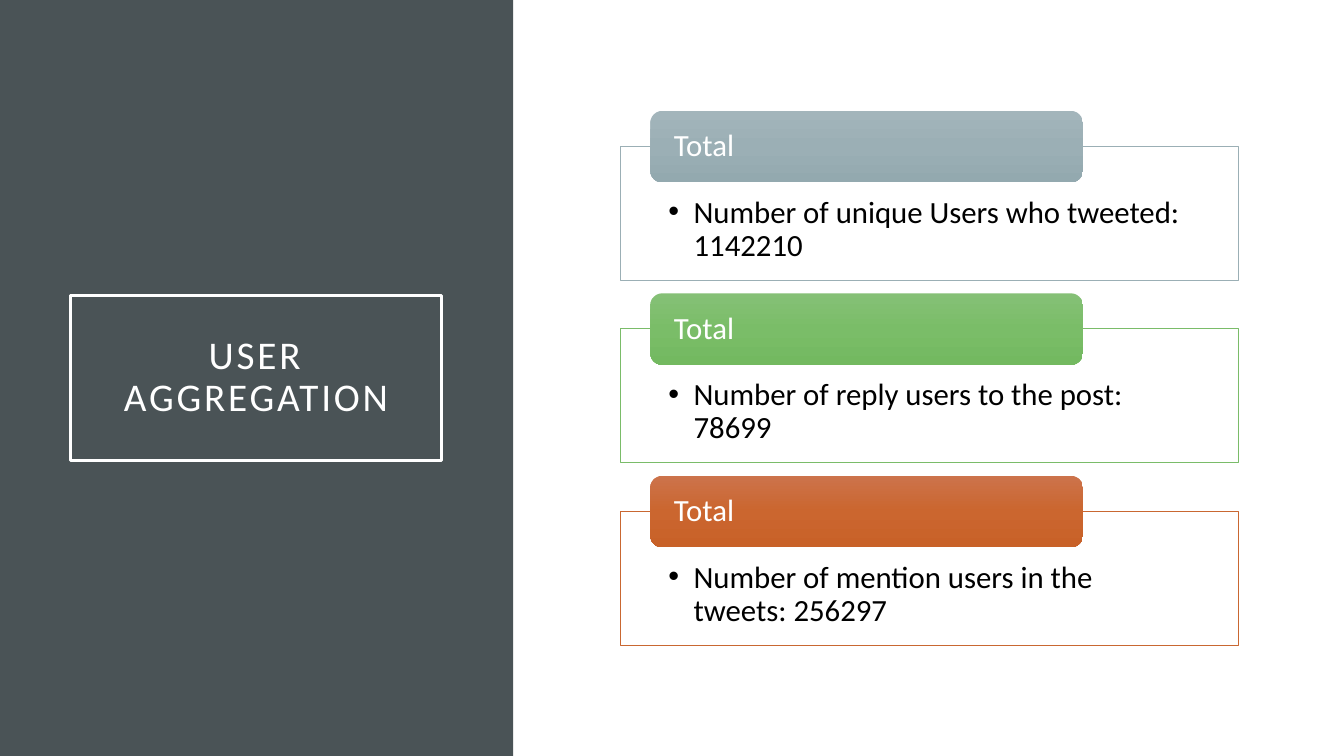
from dataclasses import dataclass

from lxml import etree
from pptx import Presentation
from pptx.dml.color import RGBColor
from pptx.enum.shapes import MSO_SHAPE
from pptx.enum.text import MSO_ANCHOR, PP_ALIGN
from pptx.oxml.ns import qn
from pptx.shapes.autoshape import Shape
from pptx.slide import Slide
from pptx.util import Inches, Pt

RECT = MSO_SHAPE.RECTANGLE
ROUND = MSO_SHAPE.ROUNDED_RECTANGLE
TOP, MIDDLE = MSO_ANCHOR.TOP, MSO_ANCHOR.MIDDLE
LEFT, CENTER = PP_ALIGN.LEFT, PP_ALIGN.CENTER


@dataclass(frozen=True)
class Theme:
    font: str = "Calibri"
    dark: str = "4A5356"
    white: str = "FFFFFF"
    black: str = "000000"
    title: int = 28
    body: int = 22


@dataclass(frozen=True)
class Card:
    text: str
    line: str
    stops: tuple[str, str, str]


THEME = Theme()
FIRST, PITCH = 1.1, 1.81
CARDS = (
    Card("Number of unique Users who tweeted: 1142210", "9BAFB5",
         ("A3B5BB", "9BAFB5", "93A9AF")),
    Card("Number of reply users to the post: 78699", "7ABC69",
         ("85C076", "7ABD68", "73B960")),
    Card("Number of mention users in the tweets: 256297", "C96731",
         ("CC734B", "CB662F", "C86128")),
)


def add_box(slide: Slide, kind: MSO_SHAPE, place: tuple[float, ...],
            fill: str = "", line: str = "", width: float = 0) -> Shape:
    box = slide.shapes.add_shape(kind, *map(Inches, place))
    box.shadow.inherit = False
    if fill:
        box.fill.solid()
        box.fill.fore_color.rgb = RGBColor.from_string(fill)
    else:
        box.fill.background()
    if line:
        box.line.color.rgb = RGBColor.from_string(line)
        box.line.width = Pt(width)
    else:
        box.line.fill.background()
    return box


def set_text(box: Shape, text: str, size: int, color: str,
             pads: tuple[float, ...], anchor: MSO_ANCHOR = MIDDLE,
             align: PP_ALIGN = LEFT) -> None:
    frame = box.text_frame
    frame.text = text
    frame.word_wrap = True
    frame.vertical_anchor = anchor
    (frame.margin_left, frame.margin_top,
     frame.margin_right, frame.margin_bottom) = map(Inches, pads)
    para = frame.paragraphs[0]
    para.alignment = align
    para.line_spacing = 0.9
    font = para.runs[0].font
    font.name = THEME.font
    font.size = Pt(size)
    font.color.rgb = RGBColor.from_string(color)


def set_alpha(box: Shape, share: int) -> None:
    color = box._element.spPr.find(f"{qn('a:solidFill')}/{qn('a:srgbClr')}")
    etree.SubElement(color, qn("a:alpha"), val=str(share * 1000))


def set_blend(box: Shape, colors: tuple[str, ...]) -> None:
    box.fill.gradient()
    box.fill.gradient_angle = 270
    stops = box._element.spPr.find(f"{qn('a:gradFill')}/{qn('a:gsLst')}")
    for stop in list(stops):
        stops.remove(stop)
    step = 100000 // (len(colors) - 1)
    for index, color in enumerate(colors):
        stop = etree.SubElement(stops, qn("a:gs"), pos=str(index * step))
        etree.SubElement(stop, qn("a:srgbClr"), val=color)


def add_bullet(box: Shape) -> None:
    props = box.text_frame.paragraphs[0]._p.get_or_add_pPr()
    props.set("marL", str(Inches(0.25)))
    props.set("indent", str(Inches(-0.25)))
    etree.SubElement(props, qn("a:buFont"), typeface="Arial")
    etree.SubElement(props, qn("a:buChar"), char="•")


def add_title(slide: Slide) -> None:
    add_box(slide, RECT, (0, 0, 5.09, 7.5), THEME.dark)
    title = add_box(slide, RECT, (0.7, 2.93, 3.68, 1.64),
                    line=THEME.white, width=2.5)
    set_text(title, "USER AGGREGATION", THEME.title, THEME.white,
             (0.2, 0.2, 0.2, 0.2), align=CENTER)
    run = title.text_frame.paragraphs[0].runs[0]
    run._r.get_or_add_rPr().set("spc", "200")


def add_card(slide: Slide, card: Card, top: float) -> None:
    body = add_box(slide, RECT, (6.15, top + 0.35, 6.13, 1.33),
                   THEME.white, card.line, 0.5)
    set_alpha(body, 90)
    set_text(body, card.text, THEME.body, THEME.black,
             (0.48, 0.5, 0.48, 0.17), TOP)
    add_bullet(body)
    head = add_box(slide, ROUND, (6.45, top, 4.29, 0.71))
    set_blend(head, card.stops)
    set_text(head, "Total", THEME.body, THEME.white, (0.2, 0, 0.2, 0))


def main() -> None:
    deck = Presentation()
    deck.slide_width, deck.slide_height = Inches(13.33), Inches(7.5)
    slide = deck.slides.add_slide(deck.slide_layouts[6])
    add_title(slide)
    for index, card in enumerate(CARDS):
        add_card(slide, card, FIRST + index * PITCH)
    deck.save("out.pptx")


if __name__ == "__main__":
    main()
